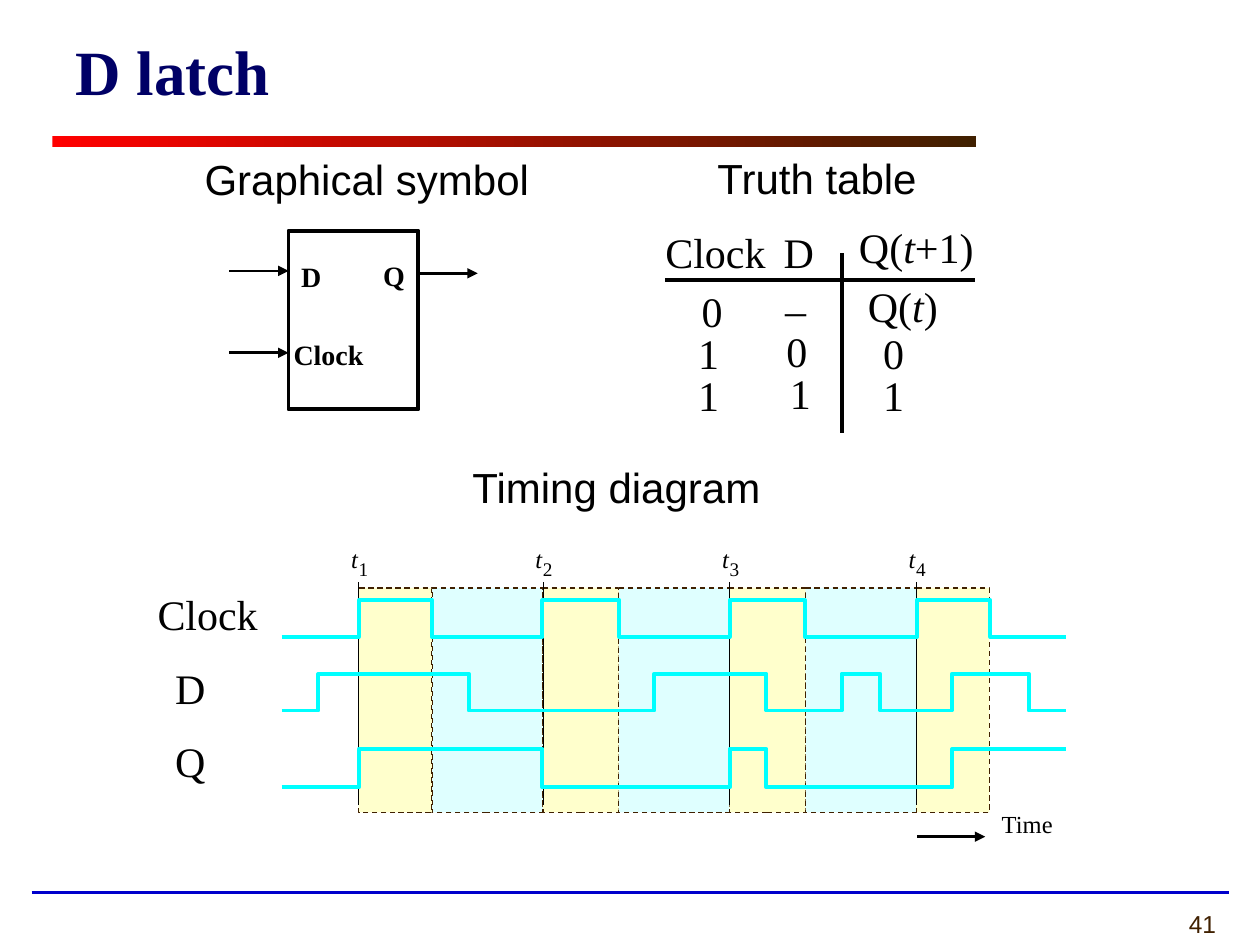
from lxml import etree
from pptx import Presentation
from pptx import util as u
from pptx.dml import color
from pptx.enum import dml, shapes, text
from pptx.oxml import ns

Pt = u.Pt
rgb = color.RGBColor.from_string
SERIF, SANS = "Times New Roman", "Arial"

deck = Presentation()
deck.slide_width, deck.slide_height = Pt(720), Pt(540)
slide = deck.slides.add_slide(deck.slide_layouts[5])
items = slide.shapes


def put(words, x, y, w, h, size=24, font=SERIF, hue="000000", bold=False,
        align=text.PP_ALIGN.LEFT, pad=(0, 0), box=None):
    """Write words, with *stars* around italics, in a new or given box."""
    wrap = box is not None
    box = box or items.add_textbox(0, 0, 0, 0)
    box.left, box.top, box.width, box.height = Pt(x), Pt(y), Pt(w), Pt(h)
    frame = box.text_frame
    frame.word_wrap = wrap
    frame.auto_size = text.MSO_AUTO_SIZE.NONE
    frame.vertical_anchor = text.MSO_ANCHOR.TOP
    frame.margin_left = frame.margin_right = Pt(pad[0])
    frame.margin_top = frame.margin_bottom = Pt(pad[1])
    para = frame.paragraphs[0]
    para.alignment = align
    for i, part in enumerate(words.split("*")):
        if not part:
            continue
        run = para.add_run()
        run.text = part
        run.font.size, run.font.name = Pt(size), font
        run.font.bold, run.font.italic = bold, i % 2 == 1
        run.font.color.rgb = rgb(hue)


def rule(x1, y1, x2, y2, width, hue="000000", arrow=False):
    """Draw a straight line, with an arrowhead at its end if asked."""
    line = items.add_connector(shapes.MSO_CONNECTOR.STRAIGHT,
                               Pt(x1), Pt(y1), Pt(x2), Pt(y2))
    line.line.width = Pt(width)
    line.line.color.rgb = rgb(hue)
    if arrow:
        etree.SubElement(line.line._get_or_add_ln(), ns.qn("a:tailEnd"), type="triangle")
    etree.SubElement(line._element.spPr, ns.qn("a:effectLst"))


# Title, gradient bar, footer
put("D latch", 36, 15.1, 522, 50.4, size=36, hue="000066", bold=True,
    pad=(7.2, 3.6), box=items.title)
bar = items.add_shape(shapes.MSO_SHAPE.RECTANGLE, Pt(30), Pt(78), Pt(528), Pt(6))
bar.shadow.inherit = False
bar.line.fill.background()
bar.fill.gradient()
bar.fill.gradient_angle = 0
for stop, at, hue in zip(bar.fill.gradient_stops, (0, 1), ("FF0000", "402000")):
    stop.position, stop.color.rgb = at, rgb(hue)
rule(18, 510, 702, 510, 2.25, "0000CC")
put("41", 546, 516, 156, 24, size=14, font=SANS, hue="402000",
    align=text.PP_ALIGN.RIGHT, pad=(7.2, 3.6))

# Section headings
for words, x, y, w in (("Graphical symbol", 116.9, 87.8, 186),
                       ("Truth table", 410, 87.1, 122),
                       ("Timing diagram", 270, 264, 166)):
    put(words, x, y, w, 28.8, font=SANS)

# Clock edges: each period is high, then low
rise = [204.9, 310.3, 416.9, 523.6]
fall = [246.8, 353.5, 460.2, 565.5]

# Boxes: low phases, high phases, latch symbol
lows = [(a, 336, b - a, 128.2, "DFFFFF") for a, b in zip(fall, rise[1:])]
highs = [(a, 336, b - a, 128.2, "FFFFCC") for a, b in zip(rise, fall)]
latch = (164.9, 131.8, 74.2, 102.2, "FFFFFF")
for x, y, w, h, hue in lows + highs + [latch]:
    box = items.add_shape(shapes.MSO_SHAPE.RECTANGLE, Pt(x), Pt(y), Pt(w), Pt(h))
    box.shadow.inherit = False
    box.fill.solid()
    box.fill.fore_color.rgb = rgb(hue)
    solid = hue == "FFFFFF"
    box.line.color.rgb = rgb("000000" if solid else "402000")
    box.line.width = Pt(2.25 if solid else 0.75)
    if not solid:
        box.line.dash_style = dml.MSO_LINE.DASH

# Latch pins
for words, x, y in (("D", 172.1, 148.3), ("Q", 218.9, 147.6), ("Clock", 167.8, 193)):
    put(words, x, y, 44 if words == "Clock" else 16, 19.4, size=16, bold=True)
for x, y in ((131, 154.8), (131, 201.6), (239.1, 156.2)):
    rule(x, y, x + 33.9, y, 1.5, arrow=True)

# Truth table
rule(380.2, 159.8, 557.3, 159.8, 2.25)
rule(481, 144.7, 481, 247.7, 2.25)
for words, x, y, w in (("Clock", 380.2, 129.6, 63.4), ("D", 447.8, 129.6, 23),
                       ("0", 401, 163.4, 18), ("–", 448.6, 162, 18),
                       ("1", 398.9, 187.2, 18), ("0", 449.3, 185.8, 18),
                       ("0", 504.7, 187.2, 18), ("1", 398.9, 211, 18),
                       ("1", 451.4, 210.2, 18), ("1", 504.7, 211, 18)):
    put(words, x, y, w, 28.8)
put("Q(*t*+1)", 483.8, 123.1, 80, 36, pad=(7.2, 3.6))
put("Q(*t*)", 488.9, 157, 54.7, 36, pad=(7.2, 3.6))

# Rising-edge marks
for i, x in enumerate(rise, 1):
    rule(x, 460.1, x, 332.6, 0.25)
    put("*t*", x - 4.3, 311, 7.2, 16.6, size=14)
    put(str(i), x, 318.2, 8, 13, size=11)

# Waveforms: each starts low and flips at every edge
waves = (
    ("Clock", 90, 336.2, 343.4, 364.3, sorted(rise + fall)),
    ("D", 100.1, 378.7, 385.2, 406.1,
     [182.2, 267.8, 374.4, 437.8, 481, 502.6, 544.3, 588.2]),
    ("Q", 100.1, 420.5, 427.7, 450, [rise[0], rise[1], rise[2], 437.8, 544.3]),
)
for name, x, y, high, low, edges in waves:
    put(name, x, y, 63.4, 28.8)
    pen = items.build_freeform(161.3, low, scale=12700.0)
    level, spots = low, []
    for edge in edges:
        spots.append((edge, level))
        level = high if level == low else low
        spots.append((edge, level))
    pen.add_line_segments(spots + [(609.1, level)], close=False)
    wave = pen.convert_to_shape()
    wave.shadow.inherit = False
    wave.fill.background()
    wave.line.color.rgb = rgb("00FFFF")
    wave.line.width = Pt(2.25)

# Time axis
rule(524.2, 478.1, 563, 478.1, 1.38, arrow=True)
put("Time", 572.4, 462.2, 29.5, 16.6, size=14)

deck.save("out.pptx")
